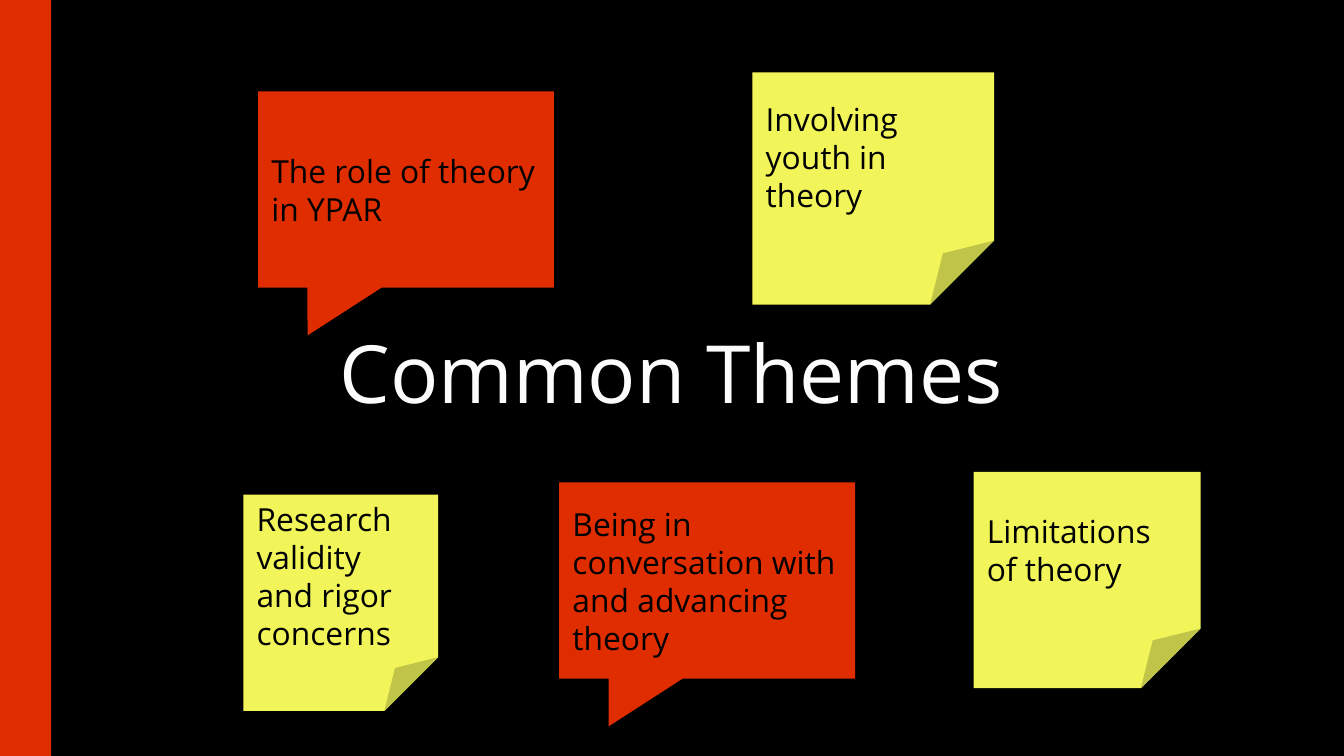
"""Build the Common Themes slide with callouts and sticky notes."""
from dataclasses import dataclass, field

from lxml import etree
from pptx import Presentation
from pptx import util as u
from pptx.dml.color import RGBColor
from pptx.enum import shapes, text
from pptx.oxml import ns

RED, YELLOW, BLACK, WHITE = "E02D00", "F1F55A", "000000", "FCFCFC"
FONT = "Open Sans"
INSET = u.Cm(0.25)


@dataclass(frozen=True)
class Style:
    """Shape kind, fill and named adjustments shared by one sort of card."""

    kind: shapes.MSO_SHAPE
    fill: str
    adjustments: dict[str, int] = field(default_factory=dict)


@dataclass(frozen=True)
class Card:
    """A theme with its style and its box in centimetres."""

    wording: str
    style: Style
    left: float
    top: float
    width: float
    height: float


BAR = Style(shapes.MSO_SHAPE.RECTANGLE, RED)
CALLOUT = Style(shapes.MSO_SHAPE.RECTANGULAR_CALLOUT, RED, {"adj1": -33300, "adj2": 74300})
NOTE = Style(shapes.MSO_SHAPE.FOLDED_CORNER, YELLOW, {"adj": 27600})
CALLOUT_SIZE = (5.59, 3.71)

CARDS = (
    Card("The role of theory in YPAR", CALLOUT, 4.88, 1.73, *CALLOUT_SIZE),
    Card("Being in conversation with and advancing theory", CALLOUT, 10.57, 9.12, *CALLOUT_SIZE),
    Card("Research validity and rigor concerns", NOTE, 4.6, 9.35, 3.68, 4.09),
    Card("Involving youth in theory", NOTE, 14.22, 1.37, 4.57, 4.39),
    Card("Limitations of theory", NOTE, 18.4, 8.92, 4.29, 4.09),
)


def paint(fill, colour: str) -> None:
    """Give a fill one solid colour from a hex string."""
    fill.solid()
    fill.fore_color.rgb = RGBColor.from_string(colour)


def adjust(shape, adjustments: dict[str, int]) -> None:
    """Set the named adjustment guides of a preset shape."""
    geometry = shape._element.spPr.find(ns.qn("a:prstGeom"))
    for guides in geometry.findall(ns.qn("a:avLst")):
        geometry.remove(guides)
    guides = etree.SubElement(geometry, ns.qn("a:avLst"))
    for name, value in adjustments.items():
        etree.SubElement(guides, ns.qn("a:gd"), name=name, fmla=f"val {value}")


def write(shape, wording: str, *, size: float = 17, colour: str = BLACK,
          align=text.PP_ALIGN.LEFT, spacing: float = 1.0) -> None:
    """Put formatted, vertically centred text in a shape."""
    frame = shape.text_frame
    frame.word_wrap = True
    frame.vertical_anchor = text.MSO_ANCHOR.MIDDLE
    frame.margin_left = frame.margin_right = INSET
    frame.margin_top = frame.margin_bottom = INSET
    paragraph = frame.paragraphs[0]
    paragraph.alignment = align
    paragraph.line_spacing = spacing
    run = paragraph.add_run()
    run.text = wording
    run.font.name = FONT
    run.font.size = u.Pt(size)
    paint(run.font.fill, colour)


def draw_card(slide, card: Card) -> None:
    """Draw a card and its wording, if any."""
    box = map(u.Cm, (card.left, card.top, card.width, card.height))
    shape = slide.shapes.add_shape(card.style.kind, *box)
    shape.shadow.inherit = False
    paint(shape.fill, card.style.fill)
    shape.line.fill.background()
    adjust(shape, card.style.adjustments)
    if card.wording:
        write(shape, card.wording)


def main() -> None:
    """Build and save the presentation."""
    presentation = Presentation()
    presentation.slide_width, presentation.slide_height = u.Cm(25.4), u.Cm(14.29)
    slide = presentation.slides.add_slide(presentation.slide_layouts[6])
    paint(slide.background.fill, BLACK)
    draw_card(slide, Card("", BAR, 0, 0, 0.97, 14.29))
    title = slide.shapes.add_textbox(u.Cm(1.93), u.Cm(3.58), u.Cm(21.51), u.Cm(7.11))
    write(title, "Common Themes", size=43, colour=WHITE,
          align=text.PP_ALIGN.CENTER, spacing=0.9)
    for card in CARDS:
        draw_card(slide, card)
    presentation.save("out.pptx")


if __name__ == "__main__":
    main()
